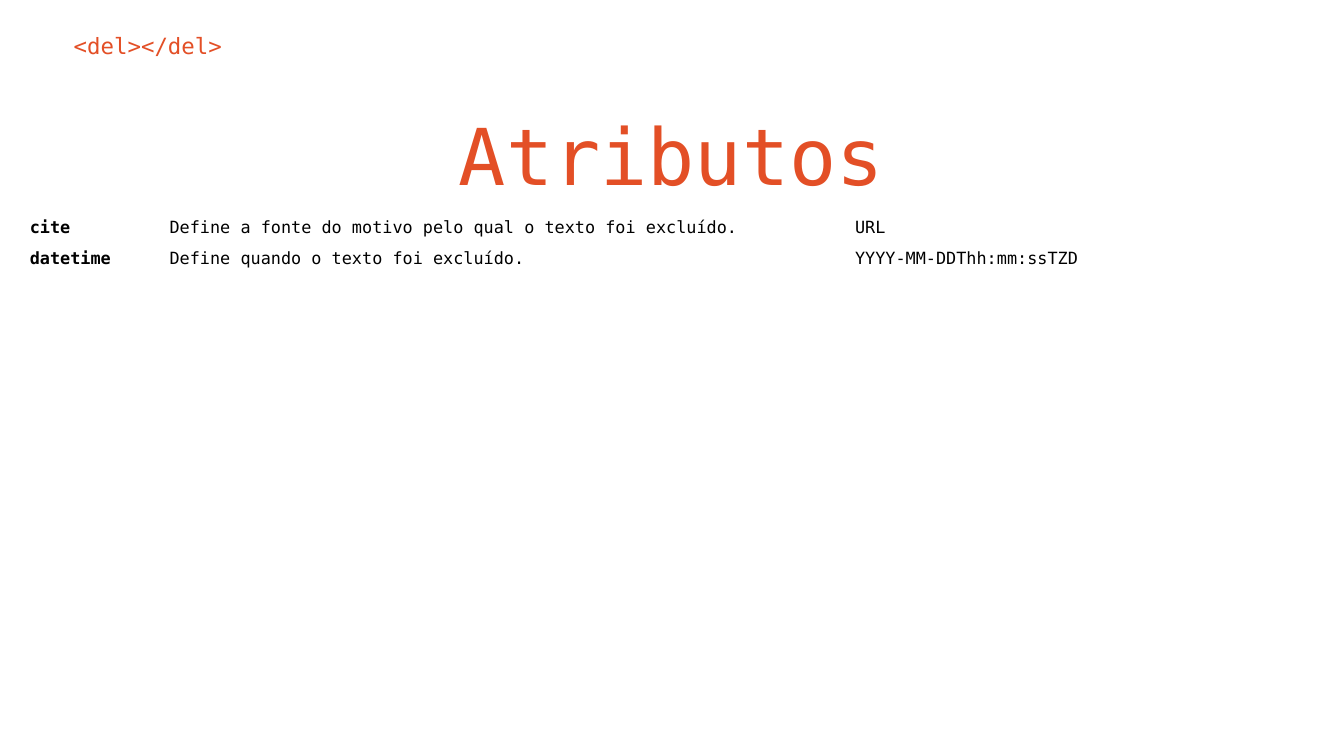
import pptx
import pptx.util
import pptx.dml.color
import pptx.enum.text

Pt = pptx.util.Pt
ALIGN = pptx.enum.text.PP_ALIGN
ORANGE = pptx.dml.color.RGBColor(0xE3, 0x4F, 0x26)
BLACK = pptx.dml.color.RGBColor(0, 0, 0)
FONT = "DejaVu Sans Mono"
COLUMN_WIDTHS = (74.9, 367.2, 242.6)
ATTRIBUTES = (
    ("cite", "Define a fonte do motivo pelo qual o texto foi excluído.", "URL"),
    ("datetime", "Define quando o texto foi excluído.", "YYYY-MM-DDThh:mm:ssTZD"),
)


def write_text(frame, text, size, color, bold=False, align=ALIGN.LEFT, inset=7.2):
    """Write one formatted paragraph into a text frame."""
    frame.word_wrap = True
    frame.margin_left = frame.margin_right = Pt(inset)
    frame.margin_top = frame.margin_bottom = Pt(inset)
    para = frame.paragraphs[0]
    para.alignment = align
    span = para.add_run()
    span.text = text
    span.font.name = FONT
    span.font.size = Pt(size)
    span.font.bold = bold
    span.font.color.rgb = color


def place_tag(page, left, top, width, height):
    """Place the HTML tag at the top of the page."""
    box = page.shapes.add_textbox(Pt(left), Pt(top), Pt(width), Pt(height))
    box.text_frame.vertical_anchor = pptx.enum.text.MSO_ANCHOR.MIDDLE
    write_text(box.text_frame, "<del></del>", 12, ORANGE)


def place_title(page, left, top, width, height):
    """Move the title placeholder into its box and fill it."""
    title = page.shapes.title
    title.left, title.top = Pt(left), Pt(top)
    title.width, title.height = Pt(width), Pt(height)
    title.text_frame.auto_size = pptx.enum.text.MSO_AUTO_SIZE.NONE
    title.text_frame.vertical_anchor = pptx.enum.text.MSO_ANCHOR.MIDDLE
    write_text(title.text_frame, "Atributos", 42, ORANGE, align=ALIGN.CENTER)


def place_attributes(page, left, top, width, height):
    """Place the table of attributes, descriptions and values."""
    table = page.shapes.add_table(
        len(ATTRIBUTES), len(COLUMN_WIDTHS), Pt(left), Pt(top), Pt(width), Pt(height)
    ).table
    table.first_row = table.horz_banding = False
    for column, column_width in zip(table.columns, COLUMN_WIDTHS):
        column.width = Pt(column_width)
    for row, texts in zip(table.rows, ATTRIBUTES):
        for index, (cell, text) in enumerate(zip(row.cells, texts)):
            cell.fill.background()
            cell.margin_left = cell.margin_right = Pt(2.88)
            cell.margin_top = cell.margin_bottom = Pt(2.88)
            write_text(cell.text_frame, text, 9, BLACK, bold=index == 0, inset=2.88)


def main():
    """Build the page and save the deck."""
    deck = pptx.Presentation()
    deck.slide_width, deck.slide_height = Pt(720), Pt(405)
    page = deck.slides.add_slide(deck.slide_layouts[5])
    place_title(page, 51.1, 51.8, 617, 62)
    place_tag(page, 32.4, 9.4, 661, 30.2)
    place_attributes(page, 13.1, 113.8, sum(COLUMN_WIDTHS), 28.8)
    deck.save("out.pptx")


if __name__ == "__main__":
    main()
